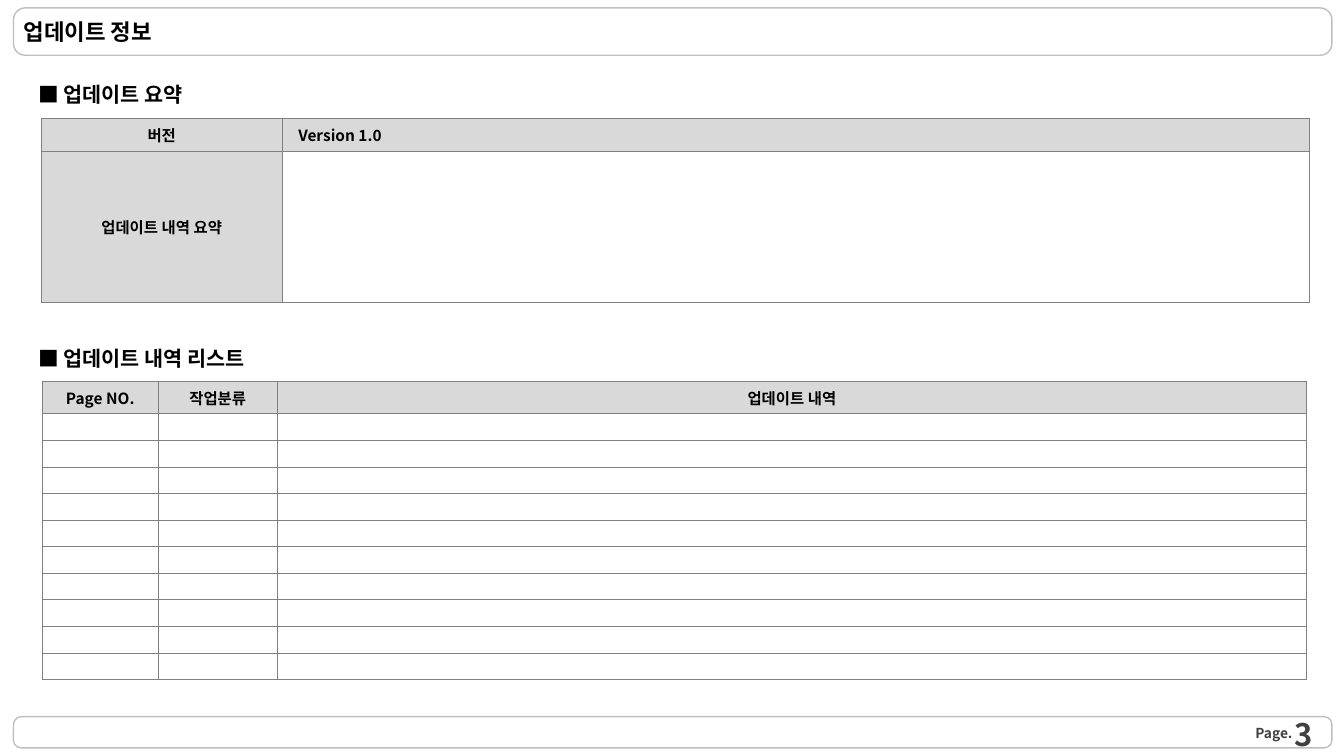
from dataclasses import dataclass

from lxml import etree
from pptx import Presentation
from pptx.dml.color import RGBColor
from pptx.enum.shapes import MSO_SHAPE
from pptx.enum.text import MSO_ANCHOR, MSO_AUTO_SIZE, PP_ALIGN
from pptx.oxml.ns import qn
from pptx.util import Inches, Pt

ROUNDED = MSO_SHAPE.ROUNDED_RECTANGLE
MIDDLE, TOP = MSO_ANCHOR.MIDDLE, MSO_ANCHOR.TOP
LEFT, CENTER, RIGHT = PP_ALIGN.LEFT, PP_ALIGN.CENTER, PP_ALIGN.RIGHT
NO_AUTOFIT = MSO_AUTO_SIZE.NONE


@dataclass(frozen=True)
class Theme:
    font: str = "Noto Sans CJK KR"
    title_font: str = "Arial"
    ink: str = "000000"
    muted: str = "404040"
    frame: str = "BFBFBF"
    border: str = "808080"
    header: str = "D9D9D9"
    title_size: float = 16
    heading_size: float = 14.8
    table_size: float = 11
    label_size: float = 9.8
    number_size: float = 22.1
    empty_size: int = 6


class SlideBuilder:
    """Places elements by percentages of the slide's width and height."""

    def __init__(self, presentation, theme):
        self.theme = theme
        self.width = presentation.slide_width
        self.height = presentation.slide_height
        self.slide = presentation.slides.add_slide(presentation.slide_layouts[5])

    def across(self, share):
        return round(self.width * share / 100)

    def down(self, share):
        return round(self.height * share / 100)

    def box(self, left, top, width, height):
        return self.across(left), self.down(top), self.across(width), self.down(height)

    def add_run(self, frame, text, size, color, align=LEFT, font=None):
        paragraph = frame.paragraphs[0]
        paragraph.alignment = align
        run = paragraph.add_run()
        run.text = text
        run.font.size = Pt(size)
        run.font.bold = True
        run.font.name = font or self.theme.font
        run.font.color.rgb = RGBColor.from_string(color)
        east_asian = etree.SubElement(run.font._element, qn("a:ea"))
        east_asian.set("typeface", self.theme.font)

    def set_frame(self, frame, anchor, inset_x, inset_y):
        frame.word_wrap = True
        frame.auto_size = NO_AUTOFIT
        frame.vertical_anchor = anchor
        frame.margin_left = frame.margin_right = Inches(inset_x)
        frame.margin_top = frame.margin_bottom = Inches(inset_y)

    def title(self, text, *area):
        title = self.slide.shapes.title
        title.left, title.top, title.width, title.height = self.box(*area)
        self.set_frame(title.text_frame, MIDDLE, 0.1, 0.05)
        self.add_run(title.text_frame, text, self.theme.title_size, self.theme.ink,
                     font=self.theme.title_font)

    def bar(self, *area):
        shape = self.slide.shapes.add_shape(ROUNDED, *self.box(*area))
        shape.shadow.inherit = False
        shape.adjustments[0] = 0.25
        shape.fill.background()
        shape.line.color.rgb = RGBColor.from_string(self.theme.frame)
        shape.line.width = Pt(1)

    def text(self, text, area, size, color, align=LEFT, anchor=MIDDLE, insets=(0.1, 0.05)):
        frame = self.slide.shapes.add_textbox(*self.box(*area)).text_frame
        self.set_frame(frame, anchor, *insets)
        self.add_run(frame, text, size, color, align)

    def heading(self, text, top, width):
        self.text(text, (2.03, top, width, 4.8), self.theme.heading_size,
                  self.theme.ink, anchor=TOP, insets=(0.11, 0.05))

    def table(self, left, top, columns, rows, labels, left_aligned=()):
        """Labels map (row, column) to the text of each shaded cell."""
        area = self.box(left, top, sum(columns), sum(rows))
        table = self.slide.shapes.add_table(len(rows), len(columns), *area).table
        table.first_row = table.horz_banding = False
        for column, share in zip(table.columns, columns):
            column.width = self.across(share)
        for row, share in zip(table.rows, rows):
            row.height = self.down(share)
        for row_index in range(len(rows)):
            for column_index in range(len(columns)):
                position = row_index, column_index
                self.cell(table.cell(*position), labels.get(position),
                          LEFT if position in left_aligned else CENTER)

    def cell(self, cell, label, align):
        cell.vertical_anchor = MIDDLE
        cell.margin_left = Inches(0.16 if align == LEFT else 0.1)
        cell.margin_top = cell.margin_bottom = Inches(0.05)
        self.cell_borders(cell)
        if label:
            cell.fill.solid()
            cell.fill.fore_color.rgb = RGBColor.from_string(self.theme.header)
            self.add_run(cell.text_frame, label, self.theme.table_size,
                         self.theme.ink, align)
        else:
            cell.fill.background()
            # A small end mark keeps empty rows at their set height
            paragraph = cell.text_frame.paragraphs[0]
            end_mark = etree.SubElement(paragraph._p, qn("a:endParaRPr"))
            end_mark.set("sz", str(self.theme.empty_size * 100))

    def cell_borders(self, cell):
        properties = cell._tc.get_or_add_tcPr()
        for side in ("lnL", "lnR", "lnT", "lnB"):
            line = etree.SubElement(properties, qn(f"a:{side}"), w=str(Pt(0.25)))
            fill = etree.SubElement(line, qn("a:solidFill"))
            etree.SubElement(fill, qn("a:srgbClr"), val=self.theme.border)


def main():
    presentation = Presentation()
    presentation.slide_width = Inches(13.33)
    presentation.slide_height = Inches(7.5)
    theme = Theme()
    builder = SlideBuilder(presentation, theme)

    # Header and footer
    builder.bar(1, 1.05, 98.1, 6.27)
    builder.bar(1, 94.8, 98.1, 4.13)
    builder.text("Page.", (93.4, 95.87, 4.2, 2.27), theme.label_size, theme.muted,
                 insets=(0, 0))
    builder.text("3", (75.1, 96, 23.3, 2.13), theme.number_size, theme.muted, RIGHT)
    builder.title("업데이트 정보", 1, 0.27, 98.1, 7.73)

    # Update summary
    builder.heading("■ 업데이트 요약", 10.13, 15.6)
    summary = {(0, 0): "버전", (0, 1): "Version 1.0", (1, 0): "업데이트 내역 요약"}
    builder.table(3.07, 15.6, [17.93, 76.44], [4.4, 19.95], summary,
                  left_aligned=[(0, 1)])

    # Update list
    builder.heading("■ 업데이트 내역 리스트", 45.07, 22.73)
    headers = ["Page NO.", "작업분류", "업데이트 내역"]
    builder.table(3.15, 50.4, [8.63, 8.85, 76.59], [4] + [3.52] * 10,
                  {(0, column): header for column, header in enumerate(headers)})

    presentation.save("out.pptx")


if __name__ == "__main__":
    main()
